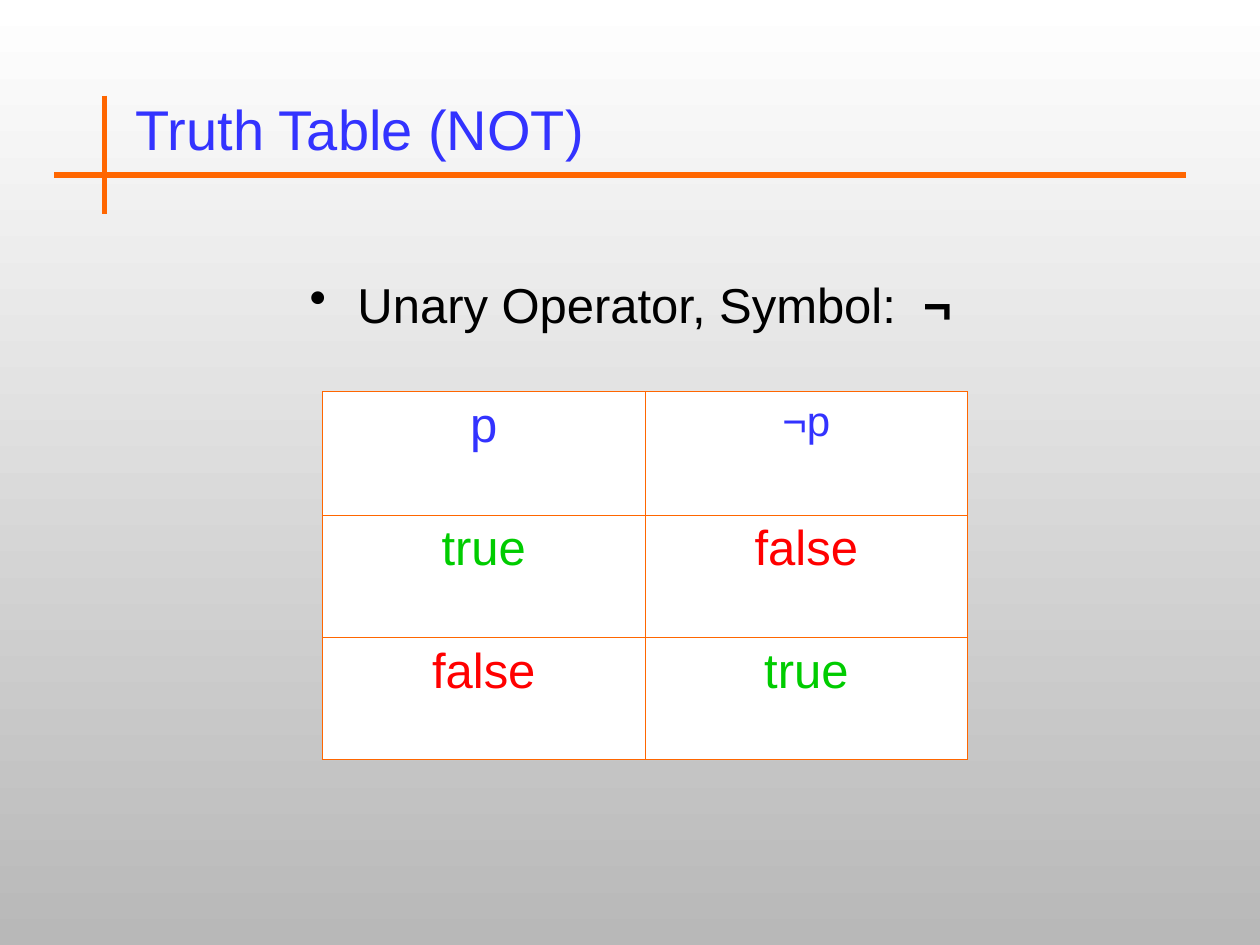
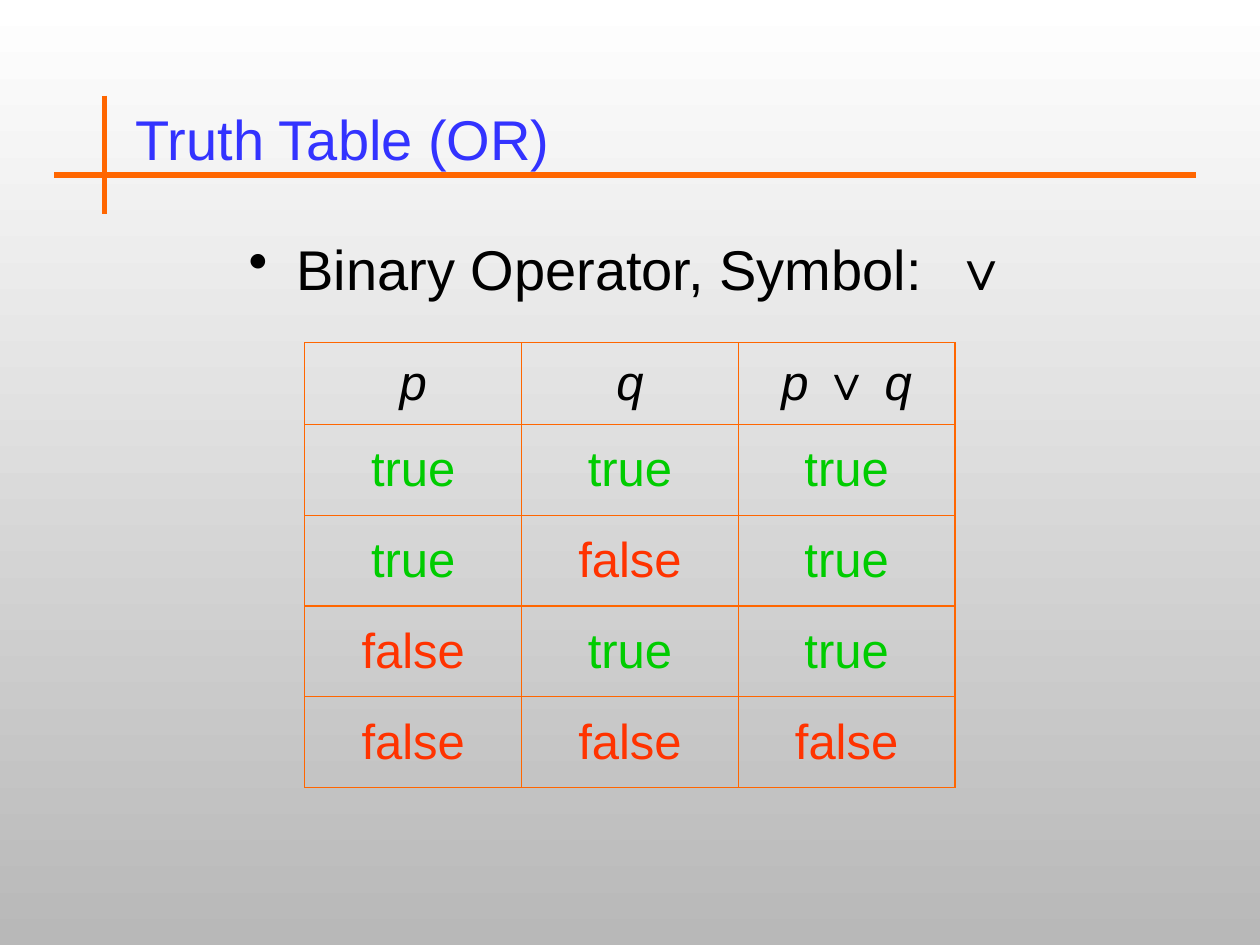
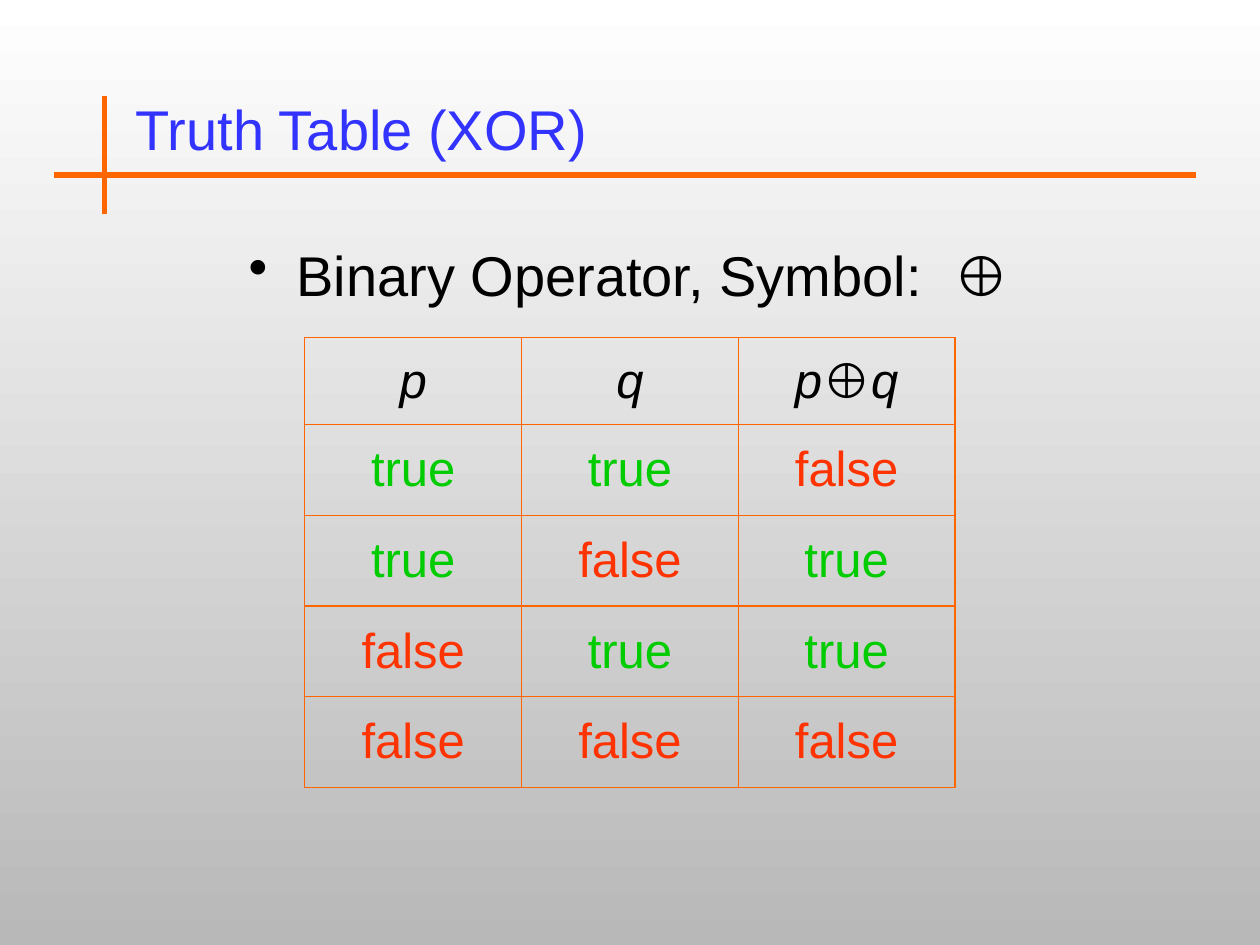
from lxml import etree
from pptx import Presentation
from pptx.dml.color import RGBColor
from pptx.enum.shapes import MSO_CONNECTOR
from pptx.enum.text import MSO_ANCHOR, PP_ALIGN
from pptx.oxml.ns import qn
from pptx.util import Inches, Pt

STRAIGHT = MSO_CONNECTOR.STRAIGHT
TOP, MIDDLE = MSO_ANCHOR.TOP, MSO_ANCHOR.MIDDLE
LEFT, CENTER = PP_ALIGN.LEFT, PP_ALIGN.CENTER

FONT = "Arial"
BLACK, WHITE, GREY = "000000", "FFFFFF", "B8B8B8"
BLUE, ORANGE, GREEN = "3333FF", "FF6600", "00CC00"
WORD_SIZE = 28
HANGING = 0.38

BINARY = {
    "kind": "Binary", "lead_size": 32, "lead_left": 0.58, "rule_end": 9.49,
    "left": 2.42, "column": 1.72, "row": 0.72, "bottom": 6.25,
    "header_color": BLACK, "header_sizes": (28, 28, 28), "italic": True,
    "false_color": "FF3300", "cell_fill": None, "anchor": MIDDLE,
}
TABLES = [
    {
        "operator": "NOT", "symbol": "¬", "kind": "Unary",
        "title_top": 0.64, "lead_top": 2.13, "lead_size": 28, "lead_left": 0.59,
        "rule_end": 9.41, "left": 2.56, "column": 2.56, "row": 0.97,
        "bottom": 6.03, "header_row": 0.98,
        "header_color": BLUE, "header_sizes": (28, 24), "italic": False,
        "false_color": "FF0000", "cell_fill": WHITE, "anchor": TOP,
        "header": [("p",), ("¬p",)],
        "values": ["true false", "false true"],
    },
    BINARY | {
        "operator": "OR", "symbol": "∨",
        "title_top": 0.72, "lead_top": 1.81, "header_row": 0.65,
        "header": [("p",), ("q",), ("p ", "∨ ", "q")],
        "values": ["true true true", "true false true",
                   "false true true", "false false false"],
    },
    BINARY | {
        "operator": "XOR", "symbol": "⊕",
        "title_top": 0.64, "lead_top": 1.86, "header_row": 0.69,
        "header": [("p",), ("q",), ("p", "⊕", "q")],
        "values": ["true true false", "true false true",
                   "false true true", "false false false"],
    },
]


def rgb(code):
    return RGBColor.from_string(code)


def add_run(paragraph, text, size, color, bold=False, italic=False):
    run = paragraph.add_run()
    run.text = text
    font = run.font
    font.name, font.size, font.bold, font.italic = FONT, Pt(size), bold, italic
    font.color.rgb = rgb(color)


def add_text(slide, left, top, width, height, anchor, align):
    frame = slide.shapes.add_textbox(*map(Inches, (left, top, width, height))).text_frame
    frame.word_wrap = True
    frame.vertical_anchor = anchor
    paragraph = frame.paragraphs[0]
    paragraph.alignment = align
    return paragraph


def add_bullet(paragraph):
    props = paragraph._p.get_or_add_pPr()
    props.set("marL", str(Inches(HANGING)))
    props.set("indent", str(-Inches(HANGING)))
    color = etree.SubElement(props, qn("a:buClr"))
    etree.SubElement(color, qn("a:srgbClr"), val=BLACK)
    etree.SubElement(props, qn("a:buChar"), char="•")


def add_rule(slide, *ends):
    rule = slide.shapes.add_connector(STRAIGHT, *map(Inches, ends))
    rule.line.color.rgb = rgb(ORANGE)
    rule.line.width = Pt(3)
    etree.SubElement(rule._element.spPr, qn("a:effectLst"))


def style_cell(cell, fill, anchor):
    props = cell._tc.get_or_add_tcPr()
    for side in ("a:lnL", "a:lnR", "a:lnT", "a:lnB"):
        border = etree.SubElement(props, qn(side), w=str(Pt(0.75)))
        paint = etree.SubElement(border, qn("a:solidFill"))
        etree.SubElement(paint, qn("a:srgbClr"), val=ORANGE)
    if fill:
        cell.fill.solid()
        cell.fill.fore_color.rgb = rgb(fill)
    else:
        cell.fill.background()
    cell.vertical_anchor = anchor
    paragraph = cell.text_frame.paragraphs[0]
    paragraph.alignment = CENTER
    return paragraph


def add_truth_table(slide, logic):
    header, values = logic["header"], logic["values"]
    height = logic["header_row"] + logic["row"] * len(values)
    place = (logic["left"], logic["bottom"] - height, logic["column"] * len(header), height)
    table = slide.shapes.add_table(
        len(values) + 1, len(header), *map(Inches, place)).table
    table.first_row = table.horz_banding = False
    for column in table.columns:
        column.width = Inches(logic["column"])
    for index, row in enumerate(table.rows):
        row.height = Inches(logic["row"] if index else logic["header_row"])

    look = logic["cell_fill"], logic["anchor"]
    for col, (parts, size) in enumerate(zip(header, logic["header_sizes"])):
        paragraph = style_cell(table.cell(0, col), *look)
        for part in parts:
            is_symbol = part.strip() == logic["symbol"]
            add_run(paragraph, part, size, logic["header_color"],
                    bold=is_symbol, italic=logic["italic"] and not is_symbol)
    word_colors = {"true": GREEN, "false": logic["false_color"]}
    for row, line in enumerate(values, 1):
        for col, word in enumerate(line.split()):
            add_run(style_cell(table.cell(row, col), *look), word, WORD_SIZE, word_colors[word])


def add_logic_slide(prs, logic):
    slide = prs.slides.add_slide(prs.slide_layouts[6])
    title = add_text(slide, 0.98, logic["title_top"], 5.2, 0.75, MIDDLE, LEFT)
    add_run(title, f"Truth Table ({logic['operator']})", 32, BLUE)
    lead = add_text(slide, logic["lead_left"], logic["lead_top"], 8.83, 0.92, TOP, CENTER)
    add_bullet(lead)
    add_run(lead, f"{logic['kind']} Operator, Symbol:  ", logic["lead_size"], BLACK)
    add_run(lead, logic["symbol"], logic["lead_size"], BLACK, bold=True)
    add_truth_table(slide, logic)
    add_rule(slide, 0.43, 1.39, logic["rule_end"], 1.39)
    add_rule(slide, 0.83, 0.76, 0.83, 1.7)


def main():
    prs = Presentation()
    prs.slide_width, prs.slide_height = Inches(10), Inches(7.5)
    backdrop = prs.slide_master.background.fill
    backdrop.gradient()
    backdrop.gradient_angle = 270
    for stop, color in zip(backdrop.gradient_stops, (WHITE, GREY)):
        stop.color.rgb = rgb(color)
    for logic in TABLES:
        add_logic_slide(prs, logic)
    prs.save("out.pptx")


if __name__ == "__main__":
    main()
